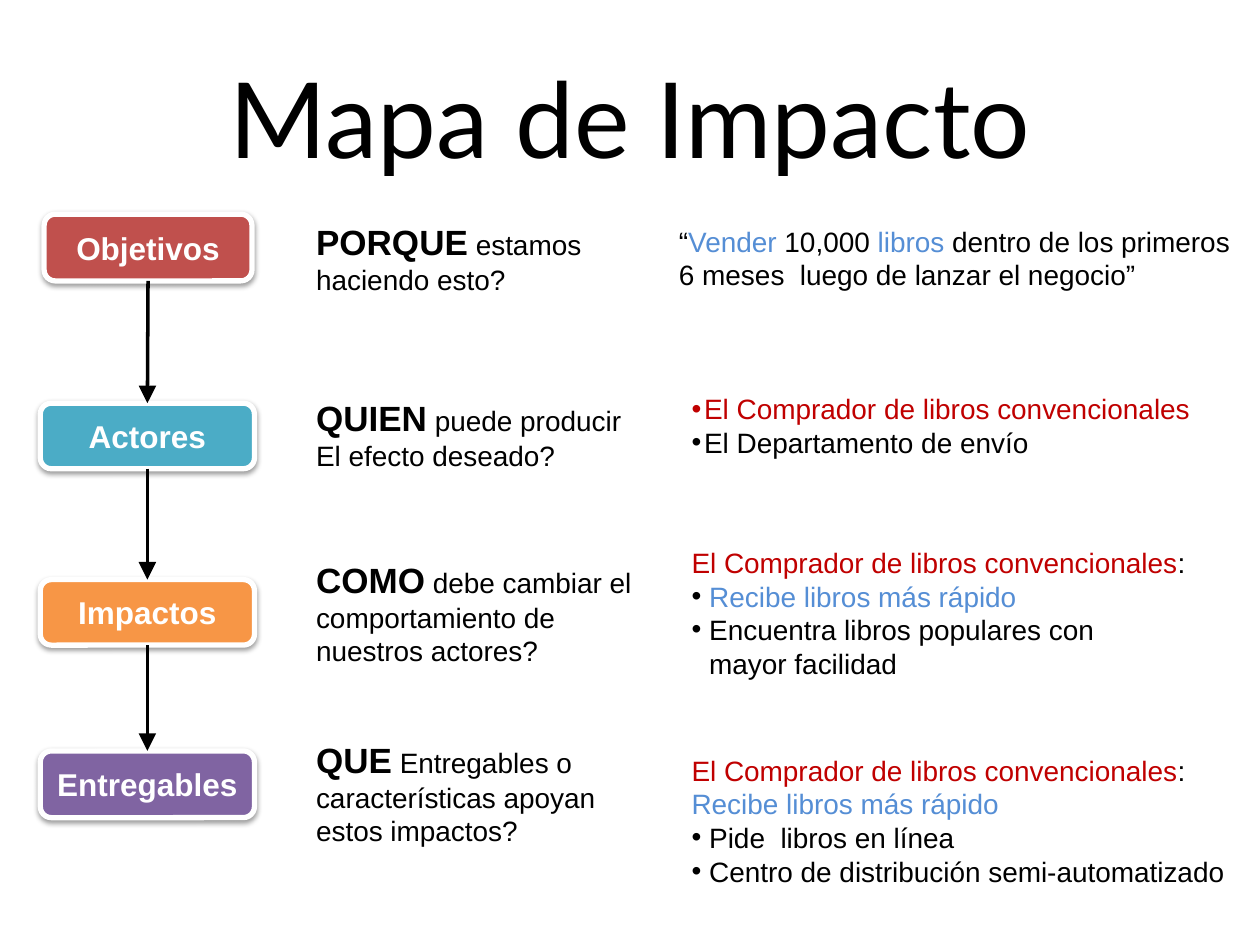
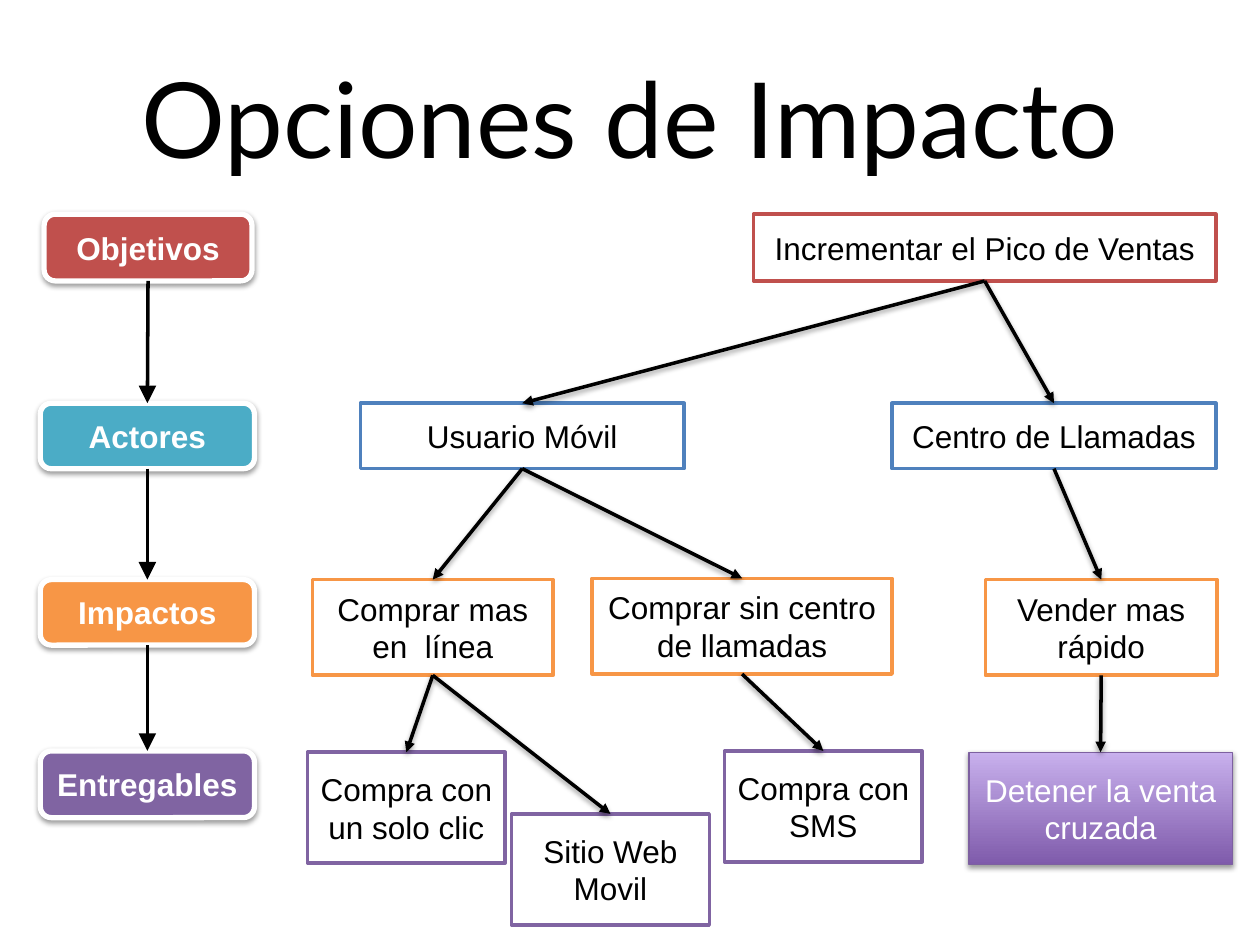
from pptx import Presentation
from pptx.dml.color import RGBColor
from pptx.enum.shapes import MSO_CONNECTOR as LINK, MSO_SHAPE as FORM
from pptx.enum.text import MSO_ANCHOR as ANCHOR, MSO_AUTO_SIZE as FIT, PP_ALIGN as ALIGN
from pptx.oxml.ns import qn
from pptx.util import Inches, Pt
from lxml.etree import SubElement as Sub

HUES = {
    "black": "000000", "white": "FFFFFF", "red": "C0504D", "teal": "4BACC6",
    "orange": "F79646", "purple": "8064A2", "blue": "4F81BD",
    "crimson": "C00000", "sky": "558ED5",
    "edge": "7D60A0", "dark": "7F5BAB", "light": "C8B0ED",
}

# Stages in the left column: text, hue, (left, top, width, height)
STAGES = [
    ("Objetivos", "red", (0.35, 1.7, 1.65, 0.53)),
    ("Actores", "teal", (0.32, 3.2, 1.7, 0.52)),
    ("Impactos", "orange", (0.32, 4.6, 1.7, 0.52)),
    ("Entregables", "purple", (0.32, 5.96, 1.7, 0.53)),
]

# Questions: top, bold word, rest
ASKS = [
    (1.7, "PORQUE", " estamos\nhaciendo esto?"),
    (3.1, "QUIEN", " puede producir\nEl efecto deseado?"),
    (4.38, "COMO", " debe cambiar el comportamiento de nuestros actores?"),
    (5.81, "QUE", " Entregables o características apoyan estos impactos?"),
]

# Examples: left, top, height, paragraphs of (bullet hue, hang, runs)
BUYER = ("El Comprador de libros convencionales", "crimson")
FASTER = ("Recibe libros más rápido", "sky")
HEAD = (None, 0, [BUYER, (":", "black")])
CASES = [
    (5.29, 1.73, 0.64, [(None, 0, [
        ("“", "black"), ("Vender", "sky"), (" 10,000 ", "black"), ("libros", "sky"),
        (" dentro de los primeros 6 meses  luego de lanzar el negocio”", "black")])]),
    (5.39, 3.06, 0.64, [
        ("crimson", 0.1, [BUYER]),
        ("black", 0.1, [("El Departamento de envío", "black")])]),
    (5.39, 4.28, 1.18, [
        HEAD,
        ("black", 0.14, [FASTER]),
        ("black", 0.14, [("Encuentra libros populares con\nmayor facilidad", "black")])]),
    (5.39, 5.93, 1.18, [
        HEAD,
        (None, 0, [FASTER]),
        ("black", 0.14, [("Pide  libros en línea", "black")]),
        ("black", 0.14, [("Centro de distribución semi-automatizado", "black")])]),
]

# Option tree: key -> text, hue, (left, top, width, height)
TREE = {
    "goal": ("Incrementar el Pico de Ventas", "red", (5.98, 1.7, 3.67, 0.53)),
    "user": ("Usuario Móvil", "blue", (2.86, 3.2, 2.57, 0.52)),
    "calls": ("Centro de Llamadas", "blue", (7.08, 3.2, 2.57, 0.52)),
    "online": ("Comprar mas en  línea", "orange", (2.48, 4.6, 1.91, 0.76)),
    "alone": ("Comprar sin centro de llamadas", "orange", (4.7, 4.59, 2.38, 0.76)),
    "fast": ("Vender mas rápido", "orange", (7.82, 4.6, 1.84, 0.76)),
    "click": ("Compra con un solo clic", "purple", (2.44, 5.97, 1.57, 0.88)),
    "web": ("Sitio Web\nMovil", "purple", (4.06, 6.46, 1.57, 0.88)),
    "sms": ("Compra con SMS", "purple", (5.75, 5.96, 1.57, 0.88)),
    "stop": ("Detener la venta cruzada", "shade", (7.69, 5.97, 2.09, 0.89)),
}
LINKS = [("goal", "user"), ("goal", "calls"), ("user", "online"), ("user", "alone"),
         ("calls", "fast"), ("online", "click"), ("online", "web"),
         ("alone", "sms"), ("fast", "stop")]


def rgb(hue):
    return RGBColor.from_string(HUES[hue])


def add_run(para, text, hue, size=16, bold=False, face="Arial"):
    for i, part in enumerate(text.split("\n")):
        if i:
            para.add_line_break()
        run = para.add_run()
        run.text = part
        font = run.font
        font.name, font.size, font.bold = face, Pt(size), bold
        font.color.rgb = rgb(hue)


def add_glow(effects, alpha=38):
    """Soft shadow just below the item."""
    shade = Sub(effects, qn("a:outerShdw"), blurRad=str(Pt(3.1)), dist=str(Pt(1.6)),
                dir="5400000", rotWithShape="0")
    tone = Sub(shade, qn("a:srgbClr"), val=HUES["black"])
    Sub(tone, qn("a:alpha"), val=str(alpha * 1000))


def add_box(slide, form, text, at, fill, edge, width, ink, bold=False, glow=False):
    box = slide.shapes.add_shape(form, *map(Inches, at))
    box.shadow.inherit = False
    if glow:
        add_glow(box._element.spPr.find(qn("a:effectLst")))
    if fill == "shade":
        box.fill.gradient()
        box.fill.gradient_angle = 90
        for stop, hue in zip(box.fill.gradient_stops, ("dark", "light")):
            stop.color.rgb = rgb(hue)
    else:
        box.fill.solid()
        box.fill.fore_color.rgb = rgb(fill)
    box.line.color.rgb = rgb(edge)
    box.line.width = Pt(width)
    frame = box.text_frame
    frame.word_wrap = True
    frame.vertical_anchor = ANCHOR.MIDDLE
    for i, part in enumerate(text.split("\n")):
        para = frame.add_paragraph() if i else frame.paragraphs[0]
        para.alignment = ALIGN.CENTER
        add_run(para, part, ink, 18, bold)


def add_arrow(slide, start, end, head, glow=False):
    """Arrow from the foot of one box to the top of the next."""
    x1, y1, w1, h1 = start
    x2, y2, w2, _ = end
    ends = (x1 + w1 / 2, y1 + h1, x2 + w2 / 2, y2)
    link = slide.shapes.add_connector(LINK.STRAIGHT, *map(Inches, ends))
    link.line.color.rgb = rgb("black")
    link.line.width = Pt(2)
    props = link._element.spPr
    Sub(props.find(qn("a:ln")), qn("a:tailEnd"), type="triangle", w=head, len=head)
    effects = Sub(props, qn("a:effectLst"))
    if glow:
        add_glow(effects)


def add_text(slide, at):
    frame = slide.shapes.add_textbox(*map(Inches, at)).text_frame
    frame.word_wrap = True
    return frame


def set_bullet(para, hue, hang):
    props = para._p.get_or_add_pPr()
    props.set("marL", str(Inches(hang)))
    props.set("indent", str(-Inches(hang)))
    Sub(Sub(props, qn("a:buClr")), qn("a:srgbClr"), val=HUES[hue])
    Sub(props, qn("a:buFont"), typeface="Arial")
    Sub(props, qn("a:buChar"), char="•")


def add_slide(deck, name):
    """Slide with the shared title and column of stages."""
    slide = deck.slides.add_slide(deck.slide_layouts[5])
    title = slide.shapes.title
    title.left, title.top, title.width, title.height = map(Inches, (0.5, 0.3, 9, 1.25))
    frame = title.text_frame
    frame.auto_size = FIT.NONE
    frame.vertical_anchor = ANCHOR.MIDDLE
    frame.paragraphs[0].alignment = ALIGN.CENTER
    add_run(frame.paragraphs[0], name, "black", 60, face="Lato")
    for text, hue, at in STAGES:
        add_box(slide, FORM.ROUNDED_RECTANGLE, text, at, hue, "white", 3, "white", True, True)
    for one, two in zip(STAGES, STAGES[1:]):
        add_arrow(slide, one[2], two[2], "lg")
    return slide


def add_map(deck):
    slide = add_slide(deck, "Mapa de Impacto")
    # Questions
    for top, word, rest in ASKS:
        para = add_text(slide, (2.41, top, 2.98, 0.98)).paragraphs[0]
        add_run(para, word, "black", 20, True)
        add_run(para, rest, "black")
    # Examples
    for left, top, height, paras in CASES:
        frame = add_text(slide, (left, top, 10 - left, height))
        for i, (hue, hang, runs) in enumerate(paras):
            para = frame.add_paragraph() if i else frame.paragraphs[0]
            if hue:
                set_bullet(para, hue, hang)
            for text, ink in runs:
                add_run(para, text, ink)


def add_tree(deck):
    slide = add_slide(deck, "Opciones de Impacto")
    for text, hue, at in TREE.values():
        if hue == "shade":
            add_box(slide, FORM.RECTANGLE, text, at, hue, "edge", 0.75, "white", glow=True)
        else:
            add_box(slide, FORM.RECTANGLE, text, at, "white", hue, 2, "black")
    for one, two in LINKS:
        add_arrow(slide, TREE[one][2], TREE[two][2], "med", True)


def main():
    deck = Presentation()
    deck.slide_width, deck.slide_height = Inches(10), Inches(7.5)
    add_map(deck)
    add_tree(deck)
    deck.save("out.pptx")


if __name__ == "__main__":
    main()
